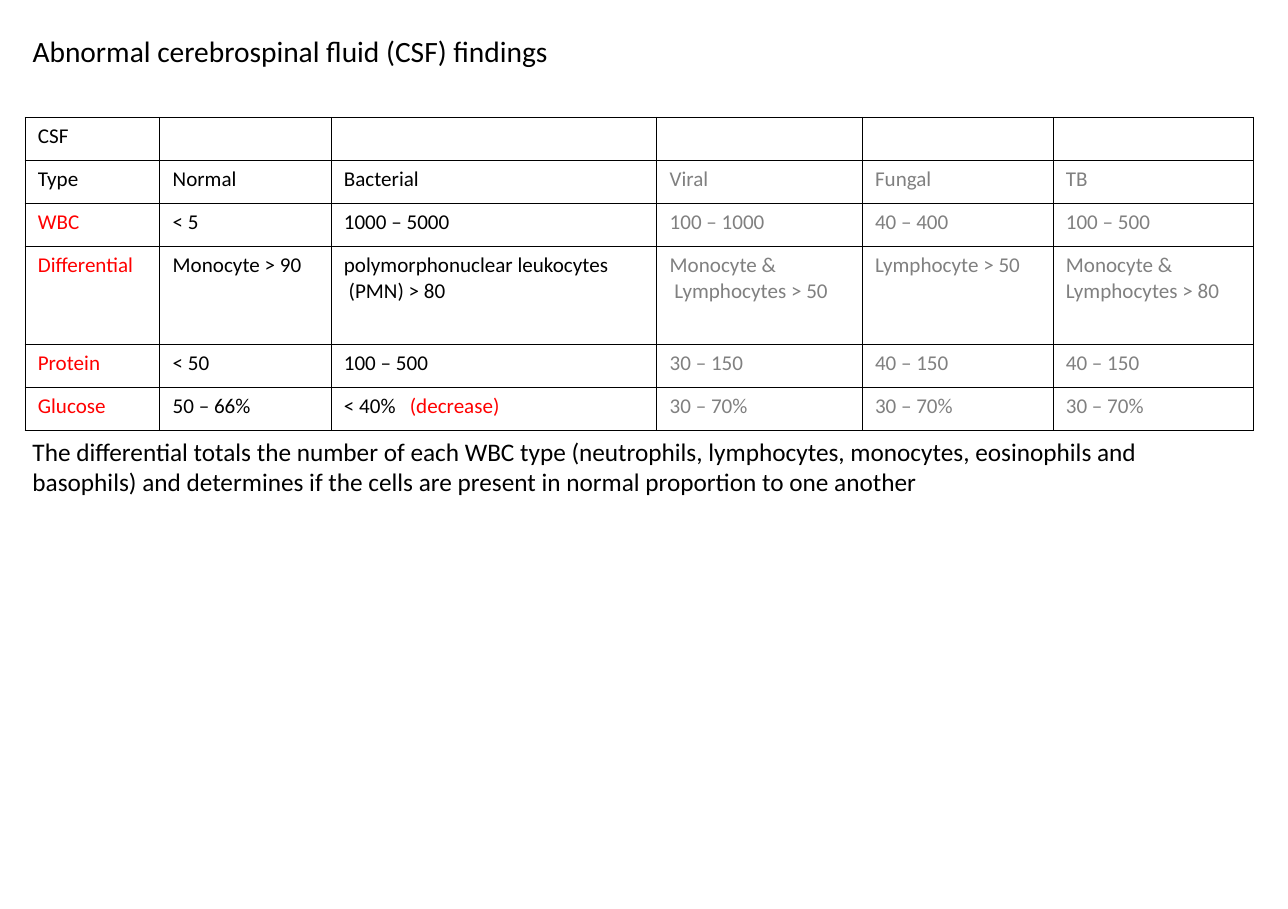
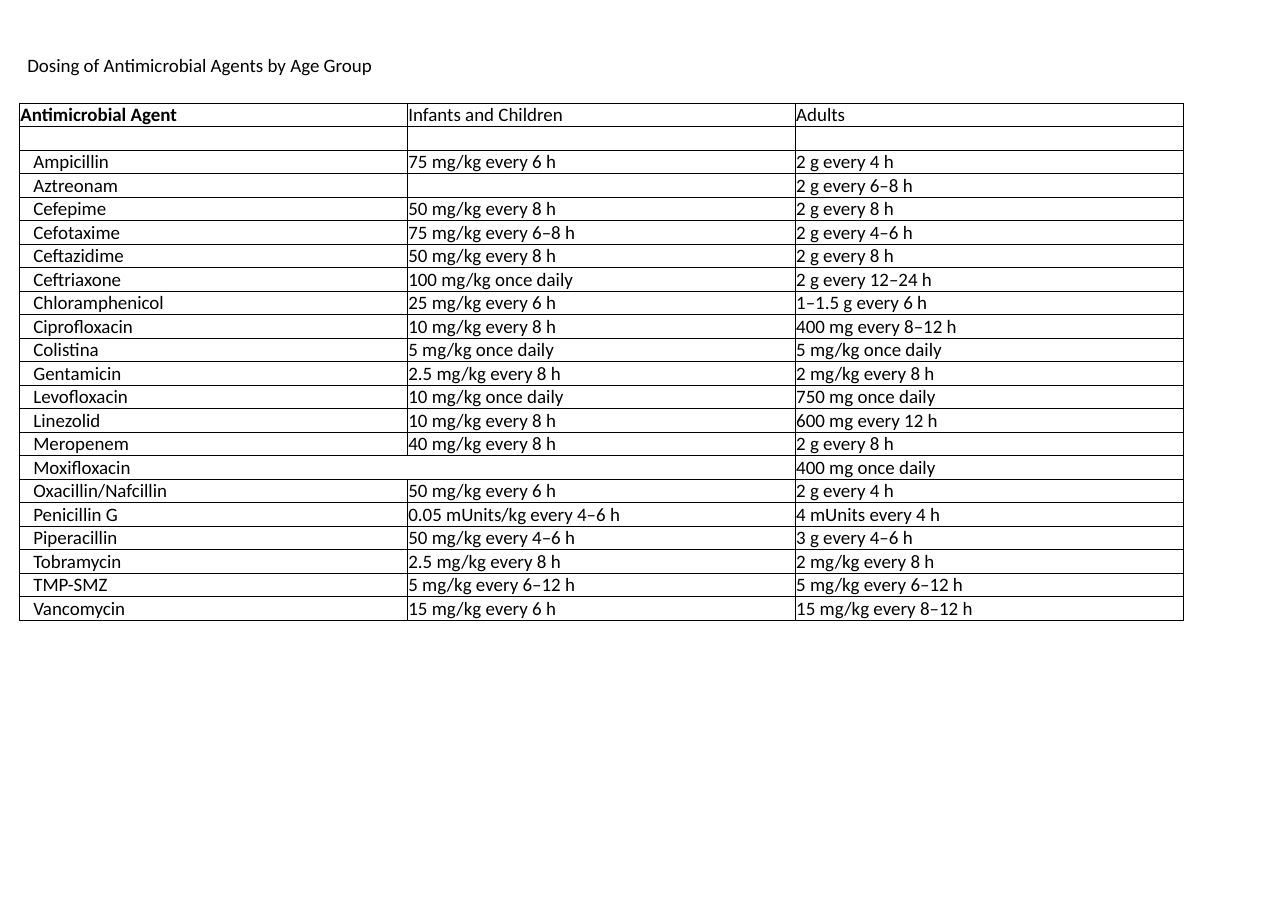
"""Build two slides: CSF findings and antimicrobial dosing by age group."""
from lxml.etree import SubElement
from pptx import Presentation
from pptx.dml.color import RGBColor
from pptx.enum.text import MSO_ANCHOR as Anchor, MSO_AUTO_SIZE as AutoSize, PP_ALIGN as Align
from pptx.oxml.ns import qn
from pptx.util import Inches, Pt

BLACK = RGBColor(0x00, 0x00, 0x00)
GREY = RGBColor(0x80, 0x80, 0x80)
RED = RGBColor(0xFF, 0x00, 0x00)
FONT = "Calibri"

presentation = Presentation()
presentation.slide_width = Inches(17)
presentation.slide_height = Inches(12)


def add_run(paragraph, text, size, color=BLACK, bold=False):
    run = paragraph.add_run()
    run.text = text
    run.font.name = FONT
    run.font.size = Pt(size)
    run.font.bold = bold
    run.font.color.rgb = color


def add_table_slide(title, title_box, title_size, table_box, widths, heights, margins, size, anchor):
    slide = presentation.slides.add_slide(presentation.slide_layouts[5])
    shape = slide.shapes.title
    shape.left, shape.top, shape.width, shape.height = map(Inches, title_box)
    frame = shape.text_frame
    frame.word_wrap = False
    frame.auto_size = AutoSize.SHAPE_TO_FIT_TEXT
    frame.vertical_anchor = Anchor.TOP
    frame.paragraphs[0].alignment = Align.LEFT
    add_run(frame.paragraphs[0], title, title_size)

    table = slide.shapes.add_table(len(heights), len(widths), *map(Inches, table_box)).table
    table.first_row = table.horz_banding = False
    for column, width in zip(table.columns, widths):
        column.width = Inches(width)
    for row, height in zip(table.rows, heights):
        row.height = Inches(height)
    for cell in table.iter_cells():
        cell.margin_left, cell.margin_top, cell.margin_right, cell.margin_bottom = map(Inches, margins)
        cell.vertical_anchor = anchor
        properties = cell._tc.get_or_add_tcPr()
        for side in ("a:lnL", "a:lnR", "a:lnT", "a:lnB"):
            line = SubElement(properties, qn(side), w=str(Pt(1)))
            SubElement(SubElement(line, qn("a:solidFill")), qn("a:srgbClr"), val=str(BLACK))
        cell.fill.background()
        SubElement(cell.text_frame.paragraphs[0]._p, qn("a:endParaRPr"), sz=str(size * 100))
    return slide, table


FINDINGS = [
    ["CSF", "", "", "", "", ""],
    ["Type", "Normal", "Bacterial", "Viral", "Fungal", "TB"],
    ["WBC", "< 5", "1000 – 5000", "100 – 1000", "40 – 400", "100 – 500"],
    ["Differential", "Monocyte > 90", "polymorphonuclear leukocytes\n (PMN) > 80",
     "Monocyte &\n Lymphocytes > 50", "Lymphocyte > 50", "Monocyte &\nLymphocytes > 80"],
    ["Protein", "< 50", "100 – 500", "30 – 150", "40 – 150", "40 – 150"],
    ["Glucose", "50 – 66%", "< 40%", "30 – 70%", "30 – 70%", "30 – 70%"],
]
slide, table = add_table_slide(
    "Abnormal cerebrospinal fluid (CSF) findings", (0.33, 0.38, 7.09, 0.57), 28,
    (0.33, 1.55, 16.21, 4.16), [1.78, 2.26, 4.3, 2.71, 2.52, 2.64],
    [0.57, 0.57, 0.57, 1.29, 0.57, 0.57], (0.17, 0.08, 0.17, 0.08), 20, Anchor.TOP)
for row_index, values in enumerate(FINDINGS):
    for column_index, value in enumerate(values):
        if not value:
            continue
        color = GREY if column_index > 2 else RED if column_index == 0 and row_index > 1 else BLACK
        frame = table.cell(row_index, column_index).text_frame
        for line_index, text in enumerate(value.split("\n")):
            paragraph = frame.add_paragraph() if line_index else frame.paragraphs[0]
            add_run(paragraph, text, 20, color)

glucose = table.cell(5, 2).text_frame.paragraphs[0]
tab_stops = SubElement(glucose._p.get_or_add_pPr(), qn("a:tabLst"))
SubElement(tab_stops, qn("a:tab"), pos=str(Inches(0.87)), algn="l")
add_run(glucose, "\t(decrease)", 20, RED)

note = slide.shapes.add_textbox(Inches(0.33), Inches(5.71), Inches(16.21), Inches(0.91)).text_frame
note.word_wrap = True
note.auto_size = AutoSize.SHAPE_TO_FIT_TEXT
add_run(note.paragraphs[0],
        "The differential totals the number of each WBC type (neutrophils, lymphocytes, monocytes, "
        "eosinophils and basophils) and determines if the cells are present in normal proportion "
        "to one another", 24)

DOSES = [
    ("Antimicrobial Agent", "Infants and Children", "Adults"),
    ("", "", ""),
    ("Ampicillin", "75 mg/kg every 6 h", "2 g every 4 h"),
    ("Aztreonam", "", "2 g every 6–8 h"),
    ("Cefepime", "50 mg/kg every 8 h", "2 g every 8 h"),
    ("Cefotaxime", "75 mg/kg every 6–8 h", "2 g every 4–6 h"),
    ("Ceftazidime", "50 mg/kg every 8 h", "2 g every 8 h"),
    ("Ceftriaxone", "100 mg/kg once daily", "2 g every 12–24 h"),
    ("Chloramphenicol", "25 mg/kg every 6 h", "1–1.5 g every 6 h"),
    ("Ciprofloxacin", "10 mg/kg every 8 h", "400 mg every 8–12 h"),
    ("Colistina", "5 mg/kg once daily", "5 mg/kg once daily"),
    ("Gentamicin", "2.5 mg/kg every 8 h", "2 mg/kg every 8 h"),
    ("Levofloxacin", "10 mg/kg once daily", "750 mg once daily"),
    ("Linezolid", "10 mg/kg every 8 h", "600 mg every 12 h"),
    ("Meropenem", "40 mg/kg every 8 h", "2 g every 8 h"),
    ("Moxifloxacin", "", "400 mg once daily"),
    ("Oxacillin/Nafcillin", "50 mg/kg every 6 h", "2 g every 4 h"),
    ("Penicillin G", "0.05 mUnits/kg every 4–6 h", "4 mUnits every 4 h"),
    ("Piperacillin", "50 mg/kg every 4–6 h", "3 g every 4–6 h"),
    ("Tobramycin", "2.5 mg/kg every 8 h", "2 mg/kg every 8 h"),
    ("TMP-SMZ", "5 mg/kg every 6–12 h", "5 mg/kg every 6–12 h"),
    ("Vancomycin", "15 mg/kg every 6 h", "15 mg/kg every 8–12 h"),
]
slide, table = add_table_slide(
    "Dosing of Antimicrobial Agents by Age Group", (0.26, 0.66, 4.82, 0.4), 18,
    (0.26, 1.36, 15.36, 6.82), [5.12] * 3, [0.31] * len(DOSES),
    (0.01, 0.01, 0.01, 0), 18, Anchor.BOTTOM)
for row_index, values in enumerate(DOSES):
    if values[0] == "Moxifloxacin":
        table.cell(row_index, 0).merge(table.cell(row_index, 1))
    for column_index, value in enumerate(values):
        if not value:
            continue
        paragraph = table.cell(row_index, column_index).text_frame.paragraphs[0]
        is_agent = column_index == 0
        if is_agent and row_index:
            paragraph._p.get_or_add_pPr().set("marL", str(Inches(0.17)))
        add_run(paragraph, value, 18, bold=is_agent and row_index == 0)

presentation.save("out.pptx")
